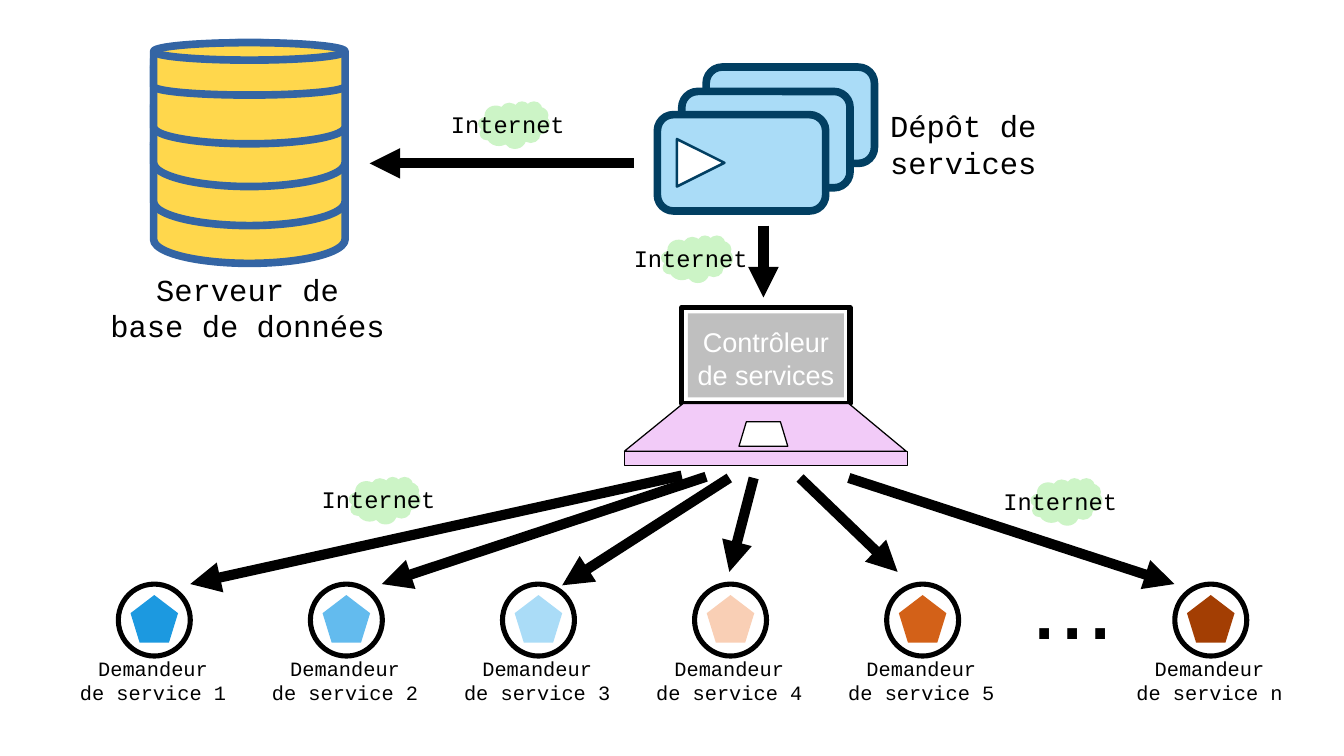
from pptx import Presentation
from pptx.dml.color import RGBColor
from pptx.enum.shapes import MSO_CONNECTOR, MSO_SHAPE
from pptx.enum.text import PP_ALIGN
from pptx.oxml.ns import qn
from pptx.util import Inches, Pt
from lxml import etree

RECT = MSO_SHAPE.RECTANGLE
ROUND = MSO_SHAPE.ROUNDED_RECTANGLE
DISK = MSO_SHAPE.FLOWCHART_MAGNETIC_DISK
OVAL = MSO_SHAPE.OVAL
PENTA = MSO_SHAPE.REGULAR_PENTAGON
PLAY = MSO_SHAPE.ISOSCELES_TRIANGLE
CLOUD = MSO_SHAPE.CLOUD
STRAIGHT = MSO_CONNECTOR.STRAIGHT
LEFT, CENTER = PP_ALIGN.LEFT, PP_ALIGN.CENTER
MONO, SANS = "Courier New", "Arial"

COLORS = {
    "black": "000000", "white": "FFFFFF", "sky": "AADCF7", "navy": "023F62",
    "pink": "F2CBF8", "gold": "FFD74C", "blue": "3465A4", "gray": "808080",
    "mint": "CCF4C6",
}
CLIENTS = [
    (0, "1", "1C99E0"), (1, "2", "63BBEE"), (2, "3", "AADCF7"),
    (3, "4", "F9CFB5"), (4, "5", "D36118"), (5.5, "n", "A33E03"),
]
DISKS = [(0.98, 1.18), (0.67, 1.18), (0.35, 1.18), (0.35, 0.83), (0.35, 0.43)]
CARDS = [(5.79, 0.55), (5.59, 0.75), (5.39, 0.94)]
BASE = [(5.12, 3.7), (7.43, 3.7), (6.96, 3.31), (5.6, 3.31)]
PAD = [(6.46, 3.66), (6.06, 3.66), (6.12, 3.46), (6.4, 3.46)]
ARROWS = [
    (5.2, 1.34, 3.03, 1.34), (6.26, 1.85, 6.26, 2.44),
    (5.59, 3.9, 1.56, 4.79), (5.79, 3.91, 3.13, 4.79),
    (5.98, 3.92, 4.61, 4.8), (6.18, 3.92, 5.98, 4.69),
    (6.56, 3.92, 7.36, 4.69), (6.96, 3.92, 9.63, 4.79),
]
NETS = [(5, 1.93), (2.44, 3.91), (8.03, 3.92), (3.5, 0.83)]
LABELS = [
    ("...", 8.35, 4.36, 1.18, 1.03, 60, SANS, "black", LEFT),
    ("Serveur de\nbase de données", 0.75, 2.17, 2.56, 0.94, 18, MONO, "black", CENTER),
    ("Dépôt de\nservices", 7.2, 0.83, 2.56, 0.94, 18, MONO, "black", LEFT),
    ("Contrôleur de services", 5.59, 2.62, 1.38, 0.59, 16, SANS, "white", CENTER),
]
STEP = 1.575

prs = Presentation()
prs.slide_width, prs.slide_height = Inches(11.02), Inches(6.2)
slide = prs.slides.add_slide(prs.slide_layouts[6])
shapes = slide.shapes


def color(name):
    return RGBColor.from_string(COLORS.get(name, name))


def paint(shape, fill, line=None, width=0):
    shape.shadow.inherit = False
    shape.fill.solid()
    shape.fill.fore_color.rgb = color(fill)
    if line:
        shape.line.color.rgb = color(line)
        shape.line.width = Pt(width)
    else:
        shape.line.fill.background()
    return shape


def draw(kind, x, y, w, h, fill, line=None, width=0):
    shape = shapes.add_shape(kind, Inches(x), Inches(y), Inches(w), Inches(h))
    return paint(shape, fill, line, width)


def outline(points, fill):
    dots = [(Inches(x), Inches(y)) for x, y in points]
    form = shapes.build_freeform(*dots[0])
    form.add_line_segments(dots[1:], close=True)
    paint(form.convert_to_shape(), fill, "black")


def write(text, x, y, w, h, size, font, ink, align):
    frame = shapes.add_textbox(Inches(x), Inches(y), Inches(w), Inches(h)).text_frame
    frame.word_wrap = True
    para = frame.paragraphs[0]
    para.alignment = align
    for i, line in enumerate(text.split("\n")):
        if i:
            para.add_line_break()
        run = para.add_run()
        run.text = line
        run.font.size = Pt(size)
        run.font.name = font
        run.font.color.rgb = color(ink)


def arrow(x1, y1, x2, y2):
    link = shapes.add_connector(STRAIGHT, Inches(x1), Inches(y1), Inches(x2), Inches(y2))
    link.line.color.rgb = color("black")
    link.line.width = Pt(6)
    props = link._element.spPr
    etree.SubElement(props.find(qn("a:ln")), qn("a:tailEnd"), type="triangle")
    etree.SubElement(props, qn("a:effectLst"))


for y, h in DISKS:
    draw(DISK, 1.26, y, 1.57, h, "gold", "blue", 4.5)

for x, y in CARDS:
    draw(ROUND, x, y, 1.38, 0.79, "sky", "navy", 4.5)
draw(PLAY, 5.55, 1.14, 0.39, 0.39, "white", "navy", 1.5).rotation = 90

draw(RECT, 5.59, 2.52, 1.38, 0.79, "white", "black", 3)
outline(BASE, "pink")
draw(RECT, 5.12, 3.7, 2.32, 0.12, "pink", "black")
outline(PAD, "white")
screen = draw(RECT, 5.64, 2.57, 1.28, 0.69, "gray")
tint = screen._element.spPr.find(qn("a:solidFill"))[0]
etree.SubElement(tint, qn("a:alpha"), val="50000")

for slot, name, fill in CLIENTS:
    x = 0.97 + slot * STEP
    draw(OVAL, x, 4.79, 0.59, 0.59, "white", "black", 3)
    draw(PENTA, x + 0.1, 4.88, 0.39, 0.39, fill)
    write(f"Demandeur\nde service {name}", x - 0.5, 5.33, 1.57, 0.49, 12, MONO, "black", CENTER)

for ends in ARROWS:
    arrow(*ends)

for x, y in NETS:
    draw(CLOUD, x + 0.42, y, 0.59, 0.39, "mint")
    write("Internet", x, y + 0.02, 1.33, 0.33, 14, MONO, "black", CENTER)

for label in LABELS:
    write(*label)

prs.save("out.pptx")
